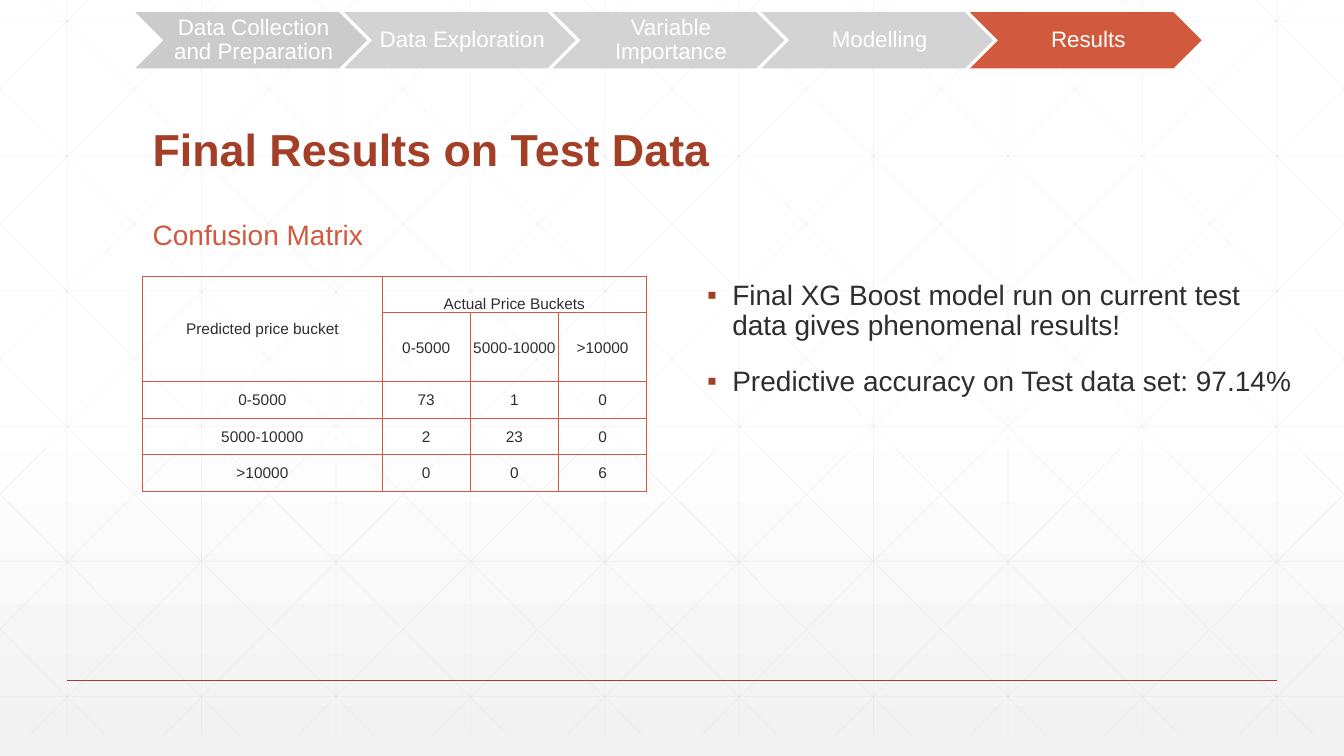
"""Build the slide of final results, measured on a grid of 160 columns by 90 rows."""
from dataclasses import dataclass
from typing import Any

from lxml.etree import SubElement
from pptx import Presentation
from pptx.dml.color import RGBColor
from pptx.enum.shapes import MSO_CONNECTOR, MSO_SHAPE
from pptx.enum.text import MSO_ANCHOR, PP_ALIGN
from pptx.oxml import parse_xml
from pptx.oxml.ns import nsdecls, qn
from pptx.util import Emu, Inches, Pt

WIDE, HIGH = 160, 90
UNIT = Inches(1) / 12
RUST, CORAL, INK, WHITE = "A43F27", "D15A3E", "2D2E2D", "FFFFFF"
PALE, MIST, HAZE = "D3D3D3", "CACBCA", "D9D9D9"


@dataclass
class Box:
    left: float
    top: float
    width: float
    height: float


@dataclass
class Line:
    x1: float
    y1: float
    x2: float
    y2: float
    color: str = HAZE
    weight: float = 0.5
    alpha: int = 25


@dataclass
class Note:
    box: Box
    lines: list[str]
    size: int
    color: str
    bold: bool = False
    anchor: Any = MSO_ANCHOR.MIDDLE
    bullet: str = ""


@dataclass
class Step:
    label: str
    fill: str


def span(count: float) -> Emu:
    return Emu(round(count * UNIT))


def place(box: Box) -> list[Emu]:
    return [span(n) for n in (box.left, box.top, box.width, box.height)]


def paint(code: str) -> RGBColor:
    return RGBColor.from_string(code)


def apply(target: Any, values: dict[str, Any]) -> None:
    for name, value in values.items():
        setattr(target, name, value)


def write(frame: Any, lines: list[str], size: int, color: str, bold: bool = False,
          align: Any = PP_ALIGN.LEFT, spacing: float = 0.9) -> None:
    for i, text in enumerate(lines):
        para = frame.paragraphs[0] if i == 0 else frame.add_paragraph()
        apply(para, {"alignment": align, "line_spacing": spacing})
        run = para.add_run()
        run.text = text
        apply(run.font, {"name": "Arial", "size": Pt(size), "bold": bold})
        run.font.color.rgb = paint(color)


def draw_line(slide: Any, line: Line) -> None:
    ends = [span(n) for n in (line.x1, line.y1, line.x2, line.y2)]
    wire = slide.shapes.add_connector(MSO_CONNECTOR.STRAIGHT, *ends)
    wire.line.width = Pt(line.weight)
    wire.line.color.rgb = paint(line.color)
    if line.alpha < 100:
        tint = next(wire.line._ln.iter(qn("a:srgbClr")))
        SubElement(tint, qn("a:alpha")).set("val", str(line.alpha * 1000))
    SubElement(wire._element.spPr, qn("a:effectLst"))


def lattice() -> list[Line]:
    top, foot, pitch, run = -2.5, 87.5, 16, 89.5
    slope = (foot - top) / run
    lines = [Line(x, top, x, foot) for x in range(8, WIDE, pitch)]
    lines += [Line(0, y, WIDE, y) for y in (2.5 + 16.08 * i for i in range(6))]
    for i in range(-5, 10):
        start = 3 + pitch * i
        x1, x2 = max(start, 0), min(start + run, WIDE)
        y1, y2 = (top + slope * (x - start) for x in (x1, x2))
        lines += [Line(x1, y1, x2, y2), Line(WIDE - x1, y1, WIDE - x2, y2)]
    return lines


def draw_note(slide: Any, note: Note) -> None:
    frame = slide.shapes.add_textbox(*place(note.box)).text_frame
    apply(frame, {"word_wrap": True, "vertical_anchor": note.anchor})
    write(frame, note.lines, note.size, note.color, note.bold)
    if note.bullet:
        for para in frame.paragraphs:
            para.space_before = Pt(18)
            props = para._p.get_or_add_pPr()
            props.set("marL", str(span(3)))
            props.set("indent", str(span(-3)))
            tint = SubElement(props, qn("a:buClr"))
            SubElement(tint, qn("a:srgbClr")).set("val", RUST)
            SubElement(props, qn("a:buFont")).set("typeface", "Arial")
            SubElement(props, qn("a:buChar")).set("char", note.bullet)


def draw_step(slide: Any, step: Step, box: Box) -> None:
    arrow = slide.shapes.add_shape(MSO_SHAPE.CHEVRON, *place(box))
    arrow.shadow.inherit = False
    arrow.fill.solid()
    arrow.fill.fore_color.rgb = paint(step.fill)
    arrow.line.fill.background()
    thin = Inches(0.02)
    apply(arrow.text_frame, {"word_wrap": True, "vertical_anchor": MSO_ANCHOR.MIDDLE,
                             "margin_left": Inches(0.07), "margin_right": thin,
                             "margin_top": thin, "margin_bottom": thin})
    write(arrow.text_frame, [step.label], 16, WHITE, align=PP_ALIGN.CENTER)


def frame_cell(cell: Any) -> None:
    props = cell._tc.get_or_add_tcPr()
    for i, side in enumerate("LRTB"):
        props.insert(i, parse_xml(
            f'<a:ln{side} {nsdecls("a")} w="{Pt(1)}"><a:solidFill>'
            f'<a:srgbClr val="{CORAL}"/></a:solidFill></a:ln{side}>'))


def draw_table(slide: Any, box: Box, rows: list[list[str]]) -> None:
    table = slide.shapes.add_table(len(rows), len(rows[0]), *place(box)).table
    apply(table, {"first_row": False, "horz_banding": False})
    for col, width in zip(table.columns, [28.5] + [10.5] * 3):
        col.width = span(width)
    for row, height in zip(table.rows, [4.35, 8.2] + [4.35] * 3):
        row.height = span(height)
    thin = Inches(0.01)
    for r, row in enumerate(rows):
        for c, text in enumerate(row):
            cell = table.cell(r, c)
            cell.fill.background()
            frame_cell(cell)
            anchor = MSO_ANCHOR.BOTTOM if (r, c) == (0, 1) else MSO_ANCHOR.MIDDLE
            apply(cell, {"vertical_anchor": anchor, "margin_left": thin,
                         "margin_right": thin, "margin_top": thin, "margin_bottom": 0})
            write(cell.text_frame, [text] if text else [], 11, INK,
                  align=PP_ALIGN.CENTER, spacing=1.0)
    table.cell(0, 0).merge(table.cell(1, 0))
    table.cell(0, 1).merge(table.cell(0, 3))


def main() -> None:
    deck = Presentation()
    apply(deck, {"slide_width": span(WIDE), "slide_height": span(HIGH)})
    slide = deck.slides.add_slide(deck.slide_layouts[6])
    fill = slide.background.fill
    fill.gradient()
    fill.gradient_angle = 270
    for stop, (spot, code) in zip(fill.gradient_stops, [(0.53, WHITE), (1, "F2F2F2")]):
        stop.position = spot
        stop.color.rgb = paint(code)

    for line in lattice() + [Line(8, 81, 152, 81, RUST, 1, 100)]:
        draw_line(slide, line)

    notes = [
        Note(Box(17, 6.6, 126, 15), ["Final Results on Test Data"], 32, RUST, True,
             MSO_ANCHOR.BOTTOM),
        Note(Box(17, 23.9, 60, 8.4), ["Confusion Matrix"], 20, CORAL),
        Note(Box(83, 32.9, 72.1, 43.2),
             ["Final XG Boost model run on current test data gives phenomenal results!",
              "Predictive accuracy on Test data set: 97.14%"],
             20, INK, anchor=MSO_ANCHOR.TOP, bullet="▪"),
    ]
    for note in notes:
        draw_note(slide, note)

    draw_table(slide, Box(17, 32.9, 60, 25.6), [
        ["Predicted price bucket", "Actual Price Buckets", "", ""],
        ["", "0-5000", "5000-10000", ">10000"],
        ["0-5000", "73", "1", "0"],
        ["5000-10000", "2", "23", "0"],
        [">10000", "0", "0", "6"],
    ])

    steps = [Step("Data Collection and Preparation", MIST), Step("Data Exploration", PALE),
             Step("Variable Importance", PALE), Step("Modelling", PALE), Step("Results", CORAL)]
    for i, step in enumerate(steps):
        draw_step(slide, step, Box(16.1 + 24.84 * i, 1.44, 27.6, 6.72))
    deck.save("out.pptx")


if __name__ == "__main__":
    main()
